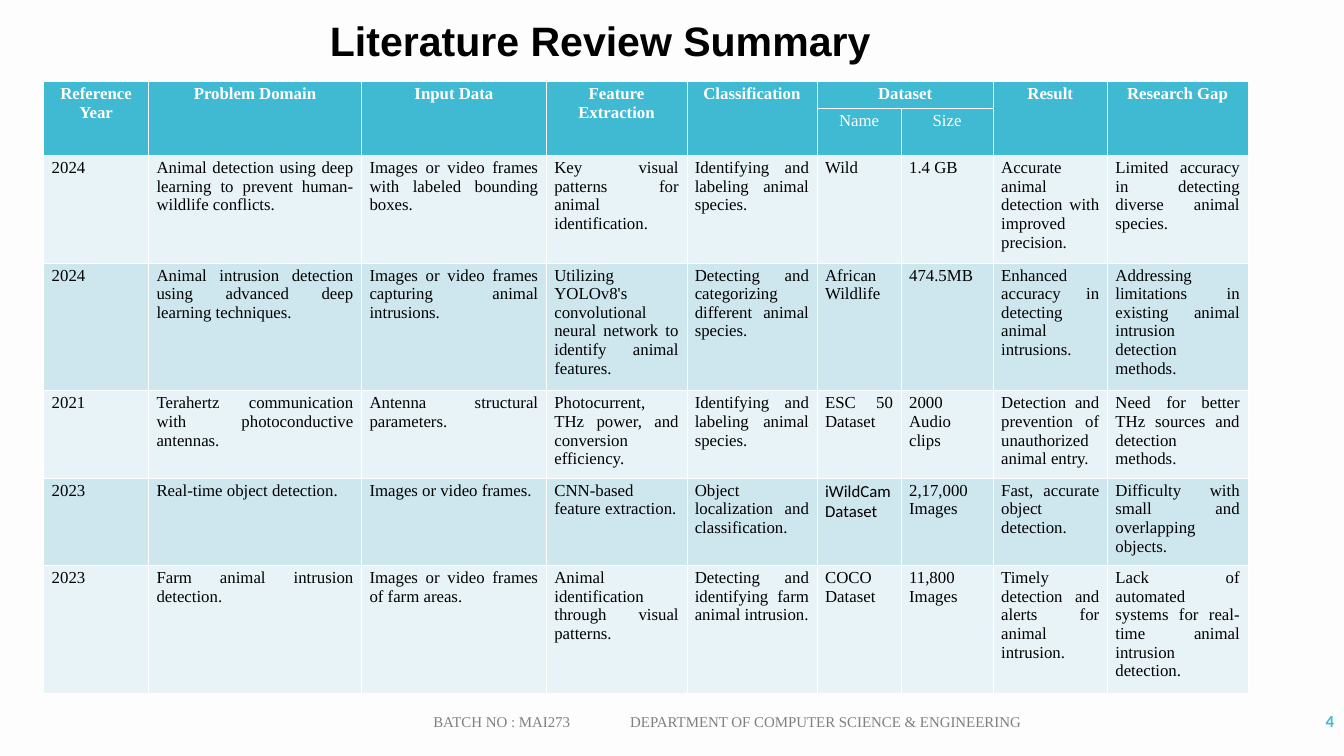
from lxml import etree
from pptx import Presentation
from pptx.dml.color import RGBColor
from pptx.enum.text import MSO_ANCHOR as Anchor, MSO_AUTO_SIZE as AutoSize, PP_ALIGN as Align
from pptx.oxml.ns import qn
from pptx.util import Inches, Pt

COLORS = {
    "background": "FDFDFD",
    "accent": "40BAD2",
    "odd_row": "E8F3F7",
    "even_row": "CEE7EE",
    "white": "FFFFFF",
    "black": "000000",
    "footer": "7F7F7F",
}
SERIF = "Times New Roman"

COLUMN_WIDTHS = [1.56, 3.17, 2.75, 2.09, 1.94, 1.25, 1.37, 1.7, 2.09]
ROW_HEIGHTS = [0.4, 0.7, 1.6, 1.9, 1.3, 1.3, 1.9]
HEADINGS = ["Reference Year", "Problem Domain", "Input Data", "Feature Extraction",
            "Classification", "Dataset", "", "Result", "Research Gap"]
DATASET_HEADINGS = {5: "Name", 6: "Size"}
STUDIES = [
    ["2024", "Animal detection using deep learning to prevent human-wildlife conflicts.",
     "Images or video frames with labeled bounding boxes.",
     "Key visual patterns for animal identification.",
     "Identifying and labeling animal species.", "Wild", "1.4 GB",
     "Accurate animal detection with improved precision.",
     "Limited accuracy in detecting diverse animal species."],
    ["2024", "Animal intrusion detection using advanced deep learning techniques.",
     "Images or video frames capturing animal intrusions.",
     "Utilizing YOLOv8's convolutional neural network to identify animal features.",
     "Detecting and categorizing different animal species.", "African Wildlife", "474.5MB",
     "Enhanced accuracy in detecting animal intrusions.",
     "Addressing limitations in existing animal intrusion detection methods."],
    ["2021", "Terahertz communication with photoconductive antennas.",
     "Antenna structural parameters.",
     "Photocurrent, THz power, and conversion efficiency.",
     "Identifying and labeling animal species.", "ESC 50 Dataset", "2000 Audio clips",
     "Detection and prevention of unauthorized animal entry.",
     "Need for better THz sources and detection methods."],
    ["2023", "Real-time object detection.", "Images or video frames.",
     "CNN-based feature extraction.", "Object localization and classification.",
     "iWildCam Dataset", "2,17,000 Images", "Fast, accurate object detection.",
     "Difficulty with small and overlapping objects."],
    ["2023", "Farm animal intrusion detection.", "Images or video frames of farm areas.",
     "Animal identification through visual patterns.",
     "Detecting and identifying farm animal intrusion.", "COCO Dataset", "11,800 Images",
     "Timely detection and alerts for animal intrusion.",
     "Lack of automated systems for real-time animal intrusion detection."],
]


def rgb(name):
    return RGBColor.from_string(COLORS[name])


def write(frame, text, size, color, align, font=SERIF, bold=False):
    paragraph = frame.paragraphs[0]
    paragraph.text = text
    paragraph.alignment = align
    for run in paragraph.runs:
        run.font.size = Pt(size)
        run.font.name = font
        run.font.bold = bold
        run.font.color.rgb = rgb(color)


def add_title(slide, left, top, width, height):
    title = slide.shapes.title
    title.left, title.top, title.width, title.height = map(Inches, (left, top, width, height))
    frame = title.text_frame
    frame.margin_left = frame.margin_right = frame.margin_top = frame.margin_bottom = 0
    frame.vertical_anchor = Anchor.TOP
    frame.word_wrap = True
    frame.auto_size = AutoSize.SHAPE_TO_FIT_TEXT
    write(frame, "Literature Review Summary", 44, "black", Align.LEFT, "Arial", True)


def add_caption(slide, left, top, width, height):
    box = slide.shapes.add_textbox(*map(Inches, (left, top, width, height)))
    box.text_frame.word_wrap = True
    box.text_frame.vertical_anchor = Anchor.MIDDLE
    return box.text_frame


def add_footer(slide, left, top, width, height):
    frame = add_caption(slide, left, top, width, height)
    # Tab stop where the department name starts
    stops = etree.SubElement(frame.paragraphs[0]._p.get_or_add_pPr(), qn("a:tabLst"))
    etree.SubElement(stops, qn("a:tab"), pos=str(Inches(2.93)), algn="l")
    write(frame, "BATCH NO : MAI273\tDEPARTMENT OF COMPUTER SCIENCE & ENGINEERING",
          16, "footer", Align.LEFT)


def add_page_number(slide, left, top, width, height):
    frame = add_caption(slide, left, top, width, height)
    write(frame, "4", 18, "accent", Align.RIGHT, "Calibri", True)


def format_cell(cell, fill, heavy_edges=""):
    properties = cell._tc.get_or_add_tcPr()
    for edge in "LRTB":
        line = etree.SubElement(properties, qn(f"a:ln{edge}"),
                                w=str(Pt(1.47 if edge in heavy_edges else 0.45)))
        solid = etree.SubElement(line, qn("a:solidFill"))
        etree.SubElement(solid, qn("a:srgbClr"), val=COLORS["white"])
    cell.fill.solid()
    cell.fill.fore_color.rgb = rgb(fill)
    cell.margin_left = cell.margin_right = Inches(0.12)
    cell.margin_top = cell.margin_bottom = Inches(0.05)


def add_review_table(slide, left, top):
    box = map(Inches, (left, top, sum(COLUMN_WIDTHS), sum(ROW_HEIGHTS)))
    table = slide.shapes.add_table(len(ROW_HEIGHTS), len(COLUMN_WIDTHS), *box).table
    for column, width in zip(table.columns, COLUMN_WIDTHS):
        column.width = Inches(width)
    for row, height in zip(table.rows, ROW_HEIGHTS):
        row.height = Inches(height)

    # Two-level header: only the dataset heading is split
    for col, heading in enumerate(HEADINGS):
        upper, lower = table.cell(0, col), table.cell(1, col)
        format_cell(upper, "accent", "B")
        format_cell(lower, "accent", "T" if col in DATASET_HEADINGS else "B")
        if heading:
            write(upper.text_frame, heading, 18, "white", Align.CENTER, bold=True)
        if col in DATASET_HEADINGS:
            write(lower.text_frame, DATASET_HEADINGS[col], 18, "white", Align.CENTER)
        else:
            upper.merge(lower)
    table.cell(0, 5).merge(table.cell(0, 6))

    # One banded row per study
    for row, study in enumerate(STUDIES, start=2):
        for col, text in enumerate(study):
            cell = table.cell(row, col)
            heavy = "T" if row == 2 and col not in DATASET_HEADINGS else ""
            format_cell(cell, "even_row" if row % 2 else "odd_row", heavy)
            font = "Calibri" if text.startswith("iWildCam") else SERIF
            write(cell.text_frame, text, 18, "black", Align.JUSTIFY, font)


def main():
    deck = Presentation()
    deck.slide_width, deck.slide_height = Inches(20), Inches(11.25)
    slide = deck.slides.add_slide(deck.slide_layouts[5])
    slide.background.fill.solid()
    slide.background.fill.fore_color.rgb = rgb("background")

    add_title(slide, 4.91, 0.23, 13.67, 0.73)
    add_page_number(slide, 17.44, 10.43, 2.51, 0.6)
    add_footer(slide, 6.35, 10.43, 9.7, 0.6)
    add_review_table(slide, 0.65, 1.21)
    deck.save("out.pptx")


if __name__ == "__main__":
    main()
